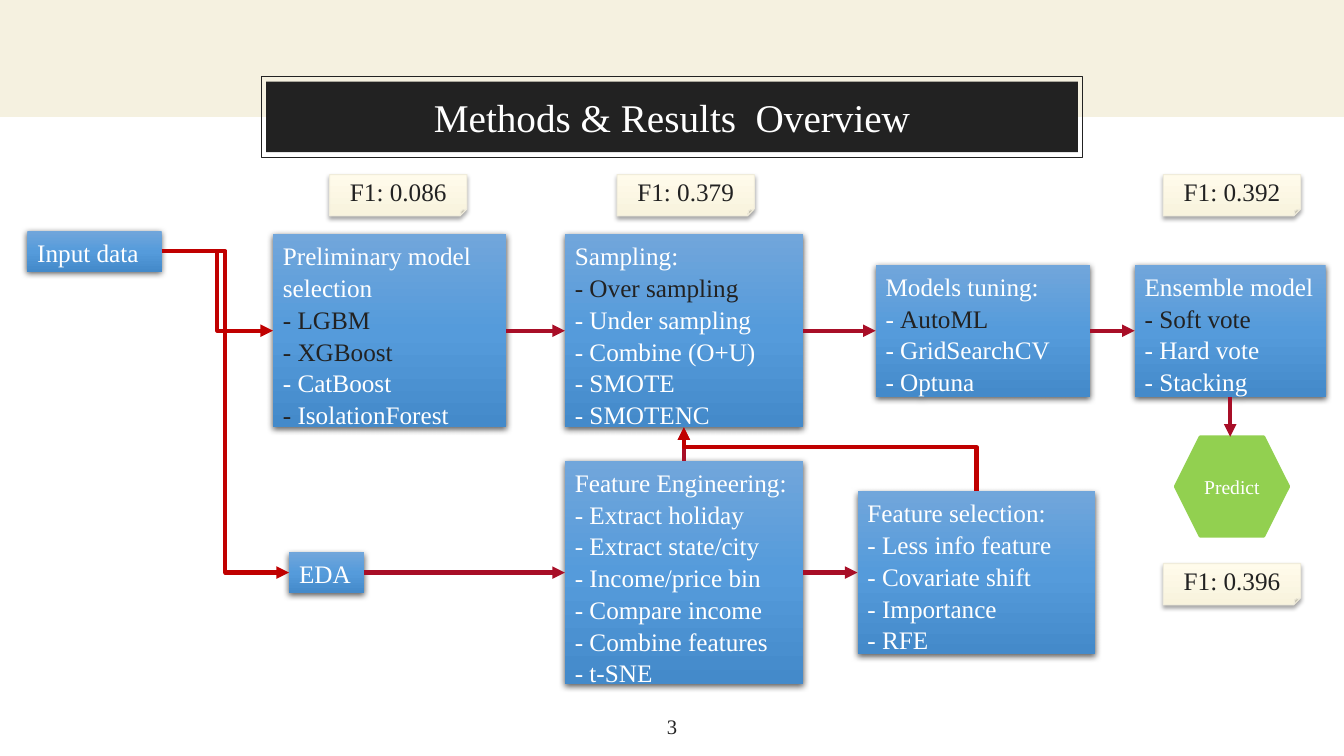
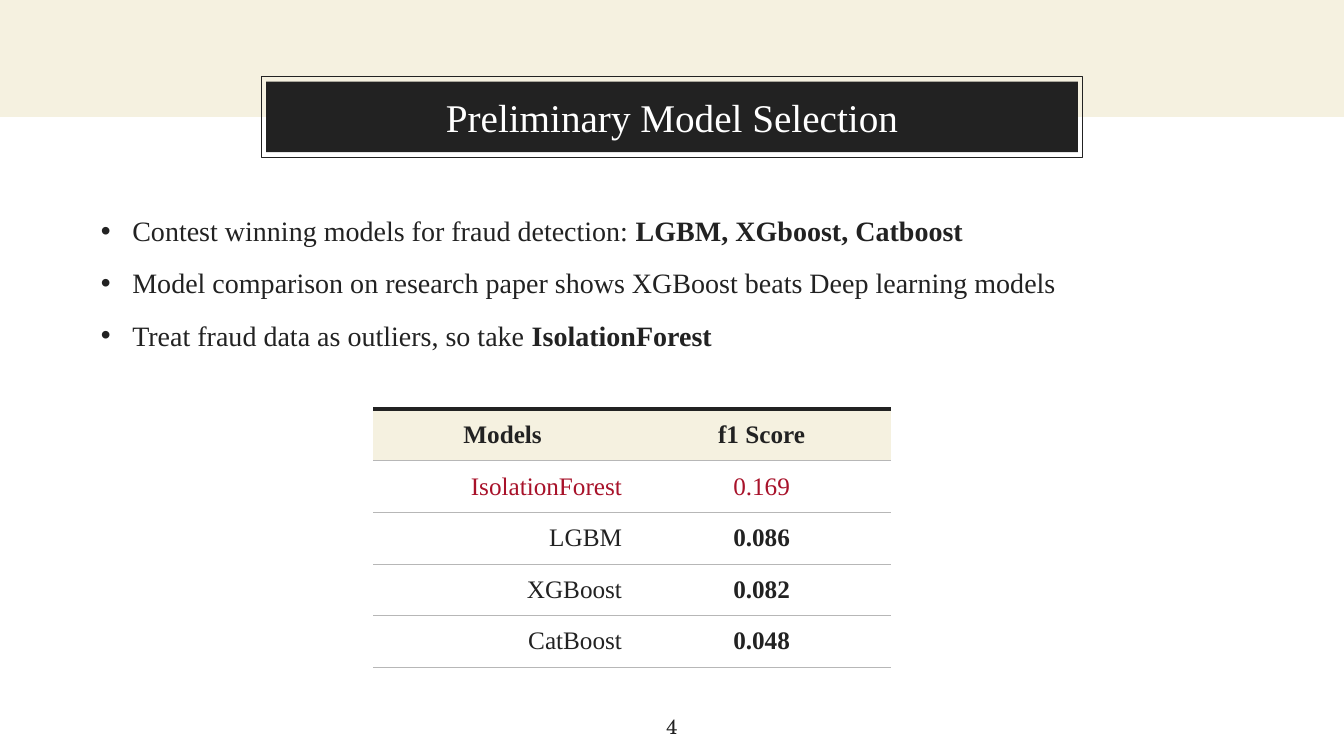
from dataclasses import dataclass
from typing import NamedTuple, Sequence, Union

import lxml.etree
import pptx
import pptx.dml.color
import pptx.enum.shapes
import pptx.enum.text
import pptx.oxml.ns
import pptx.util

Pt = pptx.util.Pt
qn = pptx.oxml.ns.qn
Align = pptx.enum.text.PP_ALIGN
Anchor = pptx.enum.text.MSO_ANCHOR
Preset = pptx.enum.shapes.MSO_SHAPE

# Shared look
FONT = "Times New Roman"
DARK, WHITE, CREAM = "222222", "FFFFFF", "F5F1E0"
CRIMSON, RED, GREEN, GRAY = "A80E27", "C00000", "92D050", "B7B7B7"
SCORE_RED, NOTE_EDGE = "A8122A", "F0ECDB"
BLUE_BLEND = ("71A6DB", "559BDB", "448ACA")
NOTE_BLEND = ("FFFBEB", "F8F3DD")
PAGE_WIDTH, PAGE_HEIGHT = 960, 540
LINE_HEIGHT = 21.8
UPPER_ROW, LOWER_ROW = 236.25, 409


class Span(NamedTuple):
    text: str
    color: Union[str, None] = None
    bold: bool = False


class Point(NamedTuple):
    x: float
    y: float


class Area(NamedTuple):
    left: float
    top: float
    width: float
    height: float


class Shadow(NamedTuple):
    opacity: int
    blur: float
    distance: float


Paragraph = Union[str, Sequence[Span]]


@dataclass
class Step:
    """A blue box whose height follows its number of text lines."""
    left: float
    middle: float
    width: float
    lines: Sequence[Paragraph]
    wrapped_lines: int = 0

    @property
    def height(self) -> float:
        return 7.2 + LINE_HEIGHT * (len(self.lines) + self.wrapped_lines)

    @property
    def area(self) -> Area:
        return Area(self.left, self.middle - self.height / 2, self.width, self.height)

    @property
    def west(self) -> Point:
        return Point(self.left, self.middle)

    @property
    def east(self) -> Point:
        return Point(self.left + self.width, self.middle)

    @property
    def north(self) -> Point:
        return Point(self.left + self.width / 2, self.middle - self.height / 2)

    @property
    def south(self) -> Point:
        return Point(self.left + self.width / 2, self.middle + self.height / 2)


def rgb(color: str) -> pptx.dml.color.RGBColor:
    return pptx.dml.color.RGBColor.from_string(color)


def add_node(parent, tag: str, **attributes):
    node = lxml.etree.SubElement(parent, qn(tag))
    for name, value in attributes.items():
        node.set(name, str(value))
    return node


def write(frame, paragraphs: Sequence[Paragraph], *, size: float = 18, color: str = DARK,
          bold: bool = False, align=Align.LEFT, anchor=Anchor.TOP, font: str = FONT,
          spacing: float = 1.0, inset: Union[float, None] = None) -> None:
    frame.word_wrap = True
    frame.auto_size = pptx.enum.text.MSO_AUTO_SIZE.NONE
    frame.vertical_anchor = anchor
    if inset is not None:
        frame.margin_left = frame.margin_right = Pt(inset)
        frame.margin_top = frame.margin_bottom = Pt(inset)
    for index, content in enumerate(paragraphs):
        para = frame.paragraphs[0] if index == 0 else frame.add_paragraph()
        para.alignment, para.line_spacing = align, spacing
        para.space_before = para.space_after = Pt(0)
        for span in [Span(content)] if isinstance(content, str) else content:
            run = para.add_run()
            run.text = span.text
            run.font.name, run.font.size = font, Pt(size)
            run.font.bold = bold or span.bold
            run.font.color.rgb = rgb(span.color or color)


def place(shape, area: Area) -> None:
    shape.left, shape.top, shape.width, shape.height = (Pt(length) for length in area)


def add_box(page, area: Area, *, preset=Preset.RECTANGLE, fill: Union[str, None] = None,
            blend: Sequence[str] = (), line: Union[str, None] = None, weight: float = 0.75,
            shadow: Union[Shadow, None] = None):
    box = page.shapes.add_shape(preset, *(Pt(length) for length in area))
    box.shadow.inherit = False
    if blend:  # evenly spaced colours from top to bottom
        box.fill.gradient()
        box.fill.gradient_angle = 270
        stops = box._element.spPr.find(qn("a:gradFill")).find(qn("a:gsLst"))
        for stop in list(stops):
            stops.remove(stop)
        for index, color in enumerate(blend):
            stop = add_node(stops, "a:gs", pos=100000 * index // (len(blend) - 1))
            add_node(stop, "a:srgbClr", val=color)
    elif fill:
        box.fill.solid()
        box.fill.fore_color.rgb = rgb(fill)
    else:
        box.fill.background()
    if line:
        box.line.color.rgb, box.line.width = rgb(line), Pt(weight)
    else:
        box.line.fill.background()
    if shadow:
        effects = box._element.spPr.find(qn("a:effectLst"))
        outer = add_node(effects, "a:outerShdw", blurRad=int(Pt(shadow.blur)),
                         dist=int(Pt(shadow.distance)), dir=5400000, algn="ctr", rotWithShape=0)
        add_node(add_node(outer, "a:srgbClr", val="000000"), "a:alpha", val=shadow.opacity * 1000)
    return box


def add_arrow(page, start: Point, end: Point, *, color: str = CRIMSON, bent: bool = False,
              upright: bool = False, bend: float = 0.5) -> None:
    """Draw an arrow; an upright bent one leaves its start vertically."""
    kinds = pptx.enum.shapes.MSO_CONNECTOR
    if upright:  # quarter turn about the centre
        center = Point((start.x + end.x) / 2, (start.y + end.y) / 2)
        across, down = start.x - center.x, start.y - center.y
        start = Point(center.x - down, center.y + across)
        end = Point(center.x + down, center.y - across)
    arrow = page.shapes.add_connector(kinds.ELBOW if bent else kinds.STRAIGHT,
                                      Pt(start.x), Pt(start.y), Pt(end.x), Pt(end.y))
    arrow.line.color.rgb, arrow.line.width = rgb(color), Pt(3)
    properties = arrow._element.spPr
    if upright:
        properties.find(qn("a:xfrm")).set("rot", str(270 * 60000))
    if bent:
        guides = properties.find(qn("a:prstGeom")).find(qn("a:avLst"))
        add_node(guides, "a:gd", name="adj1", fmla=f"val {round(bend * 100000)}")
    add_node(properties.find(qn("a:ln")), "a:tailEnd", type="triangle")
    add_node(properties, "a:effectLst")


def add_page(deck, layout: int, title: str, number: str, number_font: str = FONT):
    """Start a page with the band, framed title and page number."""
    page = deck.slides.add_slide(deck.slide_layouts[layout])
    add_box(page, Area(0, 0, PAGE_WIDTH, 83.5), fill=CREAM)
    add_box(page, Area(186.5, 54.7, 587, 57.6), line=DARK)
    heading = page.shapes.title
    page.shapes._spTree.append(heading._element)  # bring in front of the band
    place(heading, Area(190, 58.3, 580, 50.4))
    heading.fill.solid()
    heading.fill.fore_color.rgb = rgb(DARK)
    write(heading.text_frame, [title], size=28, color=WHITE, align=Align.CENTER,
          anchor=Anchor.MIDDLE, inset=9.6)
    footer = page.shapes.add_textbox(Pt(451.2), Pt(500.5), Pt(57.6), Pt(31.5))
    write(footer.text_frame, [number], size=14.7, align=Align.CENTER, font=number_font, inset=9.6)
    return page


def build_overview(deck) -> None:
    page = add_page(deck, 5, "Methods & Results  Overview", "3")

    # Steps
    source = Step(19.5, 179.5, 96, ["Input data"])
    preliminary = Step(195, UPPER_ROW, 166.5, [
        "Preliminary model selection", [Span("- LGBM", DARK)], [Span("- XGBoost", DARK)],
        "- CatBoost", [Span("- ", DARK), Span("IsolationForest")]], wrapped_lines=1)
    exploration = Step(206.5, LOWER_ROW, 53.5, ["EDA"])
    sampling = Step(403.5, UPPER_ROW, 170, [
        "Sampling:", [Span("- Over sampling", DARK)], "- Under sampling",
        "- Combine (O+U)", "- SMOTE", "- SMOTENC"])
    tuning = Step(625.5, UPPER_ROW, 153, [
        "Models tuning:", [Span("- "), Span("AutoML", DARK)], "- GridSearchCV", "- Optuna"])
    ensemble = Step(810.5, UPPER_ROW, 136.5, [
        "Ensemble model", [Span("- Soft vote", DARK)], "- Hard vote", "- Stacking"])
    engineering = Step(403.5, LOWER_ROW, 170, [
        "Feature Engineering:", "- Extract holiday", "- Extract state/city",
        "- Income/price bin", "- Compare income", "- Combine features", "- t-SNE"])
    selection = Step(612.5, LOWER_ROW, 170, [
        "Feature selection:", "- Less info feature", "- Covariate shift", "- Importance", "- RFE"])
    for step in (source, preliminary, exploration, sampling, tuning, ensemble,
                 engineering, selection):
        box = add_box(page, step.area, blend=BLUE_BLEND, shadow=Shadow(63, 4.5, 1.5))
        write(box.text_frame, step.lines, color=WHITE, spacing=1.05)

    # Final prediction
    predict = Area(839.5, 312, 81, 71)
    box = add_box(page, predict, preset=Preset.HEXAGON, fill=GREEN, line=GREEN, weight=2)
    write(box.text_frame, ["Predict"], size=14, color=WHITE, align=Align.CENTER,
          anchor=Anchor.MIDDLE)

    # Score notes
    for left, top, score in ((235.5, 124.7, "0.086"), (440.8, 124.7, "0.379"),
                             (831, 124.7, "0.392"), (831, 402.5, "0.396")):
        note = add_box(page, Area(left, top, 98, 29.5), preset=Preset.FOLDED_CORNER,
                       blend=NOTE_BLEND, line=NOTE_EDGE, shadow=Shadow(35, 3.1, 1.8))
        write(note.text_frame, [f"F1: {score}"], align=Align.CENTER, anchor=Anchor.MIDDLE)

    # Arrows
    for target in (preliminary, exploration):
        add_arrow(page, source.east, target.west, color=RED, bent=True)
    for first, second in ((preliminary, sampling), (sampling, tuning), (tuning, ensemble),
                          (exploration, engineering), (engineering, selection)):
        add_arrow(page, first.east, second.west)
    add_arrow(page, ensemble.south, Point(ensemble.south.x, predict.top))
    add_arrow(page, engineering.north, sampling.south)
    add_arrow(page, selection.north, sampling.south, color=RED, bent=True, upright=True, bend=0.69)


def set_border(cell, side: str, color: Union[str, None] = None, weight: float = 0.75) -> None:
    border = add_node(cell._tc.get_or_add_tcPr(), f"a:ln{side}", w=int(Pt(weight)))
    if color:
        add_node(add_node(border, "a:solidFill"), "a:srgbClr", val=color)
    else:
        add_node(border, "a:noFill")


def build_selection(deck) -> None:
    page = add_page(deck, 1, "Preliminary Model Selection", "4", "TeX Gyre Schola")

    # Reasons
    body = page.placeholders[1]
    place(body, Area(64.8, 136, 831, 112.5))
    write(body.text_frame, [
        [Span("Contest winning models for fraud detection: "),
         Span("LGBM, XGboost, Catboost", bold=True)],
        "Model comparison on research paper shows XGBoost beats Deep learning models",
        [Span("Treat fraud data as outliers, so take "), Span("IsolationForest", bold=True)],
    ], size=20, spacing=1.55)
    for para in body.text_frame.paragraphs:
        indents = para._p.get_or_add_pPr()
        indents.set("marL", str(int(Pt(22.5))))
        indents.set("indent", str(int(Pt(-22.5))))

    # Scores
    rows = (("Models", "f1 Score"), ("IsolationForest", "0.169"), ("LGBM", "0.086"),
            ("XGBoost", "0.082"), ("CatBoost", "0.048"))
    table = page.shapes.add_table(len(rows), 2, Pt(266.5), Pt(292.2), Pt(370), Pt(184.5)).table
    table.horz_banding = False
    for row_index, row in enumerate(rows):
        table.rows[row_index].height = Pt(36.9)
        header, failed = row_index == 0, row_index == 1
        for column, text in enumerate(row):
            cell = table.cell(row_index, column)
            set_border(cell, "L")
            set_border(cell, "R")
            set_border(cell, "T", DARK if header else GRAY, 3 if header else 0.75)
            set_border(cell, "B", GRAY)
            if header:
                cell.fill.solid()
                cell.fill.fore_color.rgb = rgb(CREAM)
            else:
                cell.fill.background()
            cell.margin_left = cell.margin_right = Pt(7.2)
            cell.margin_top = cell.margin_bottom = Pt(5)
            cell.vertical_anchor = Anchor.MIDDLE
            write(cell.text_frame, [text], color=SCORE_RED if failed else DARK,
                  bold=header or (column == 1 and not failed), anchor=Anchor.MIDDLE,
                  align=Align.CENTER if header or column == 1 else Align.RIGHT)


def main() -> None:
    deck = pptx.Presentation()
    deck.slide_width, deck.slide_height = Pt(PAGE_WIDTH), Pt(PAGE_HEIGHT)
    build_overview(deck)
    build_selection(deck)
    deck.save("out.pptx")


if __name__ == "__main__":
    main()
